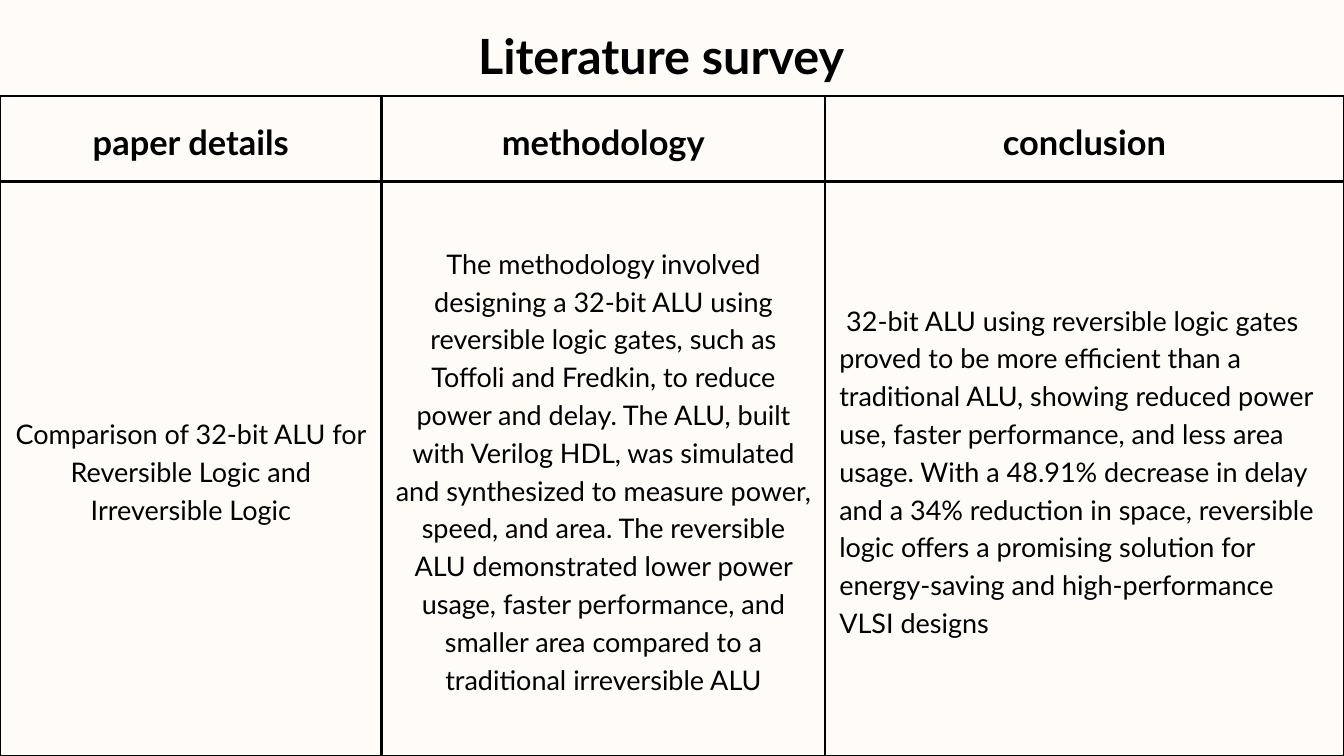
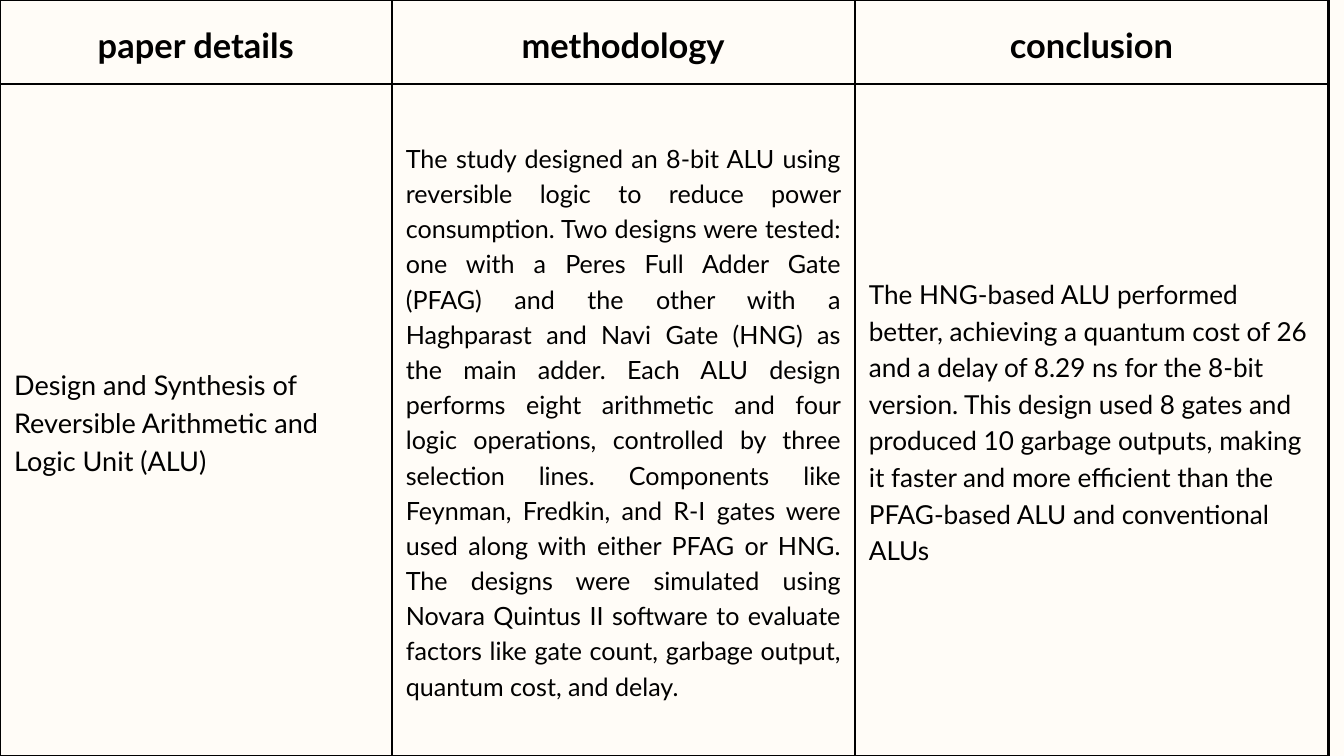
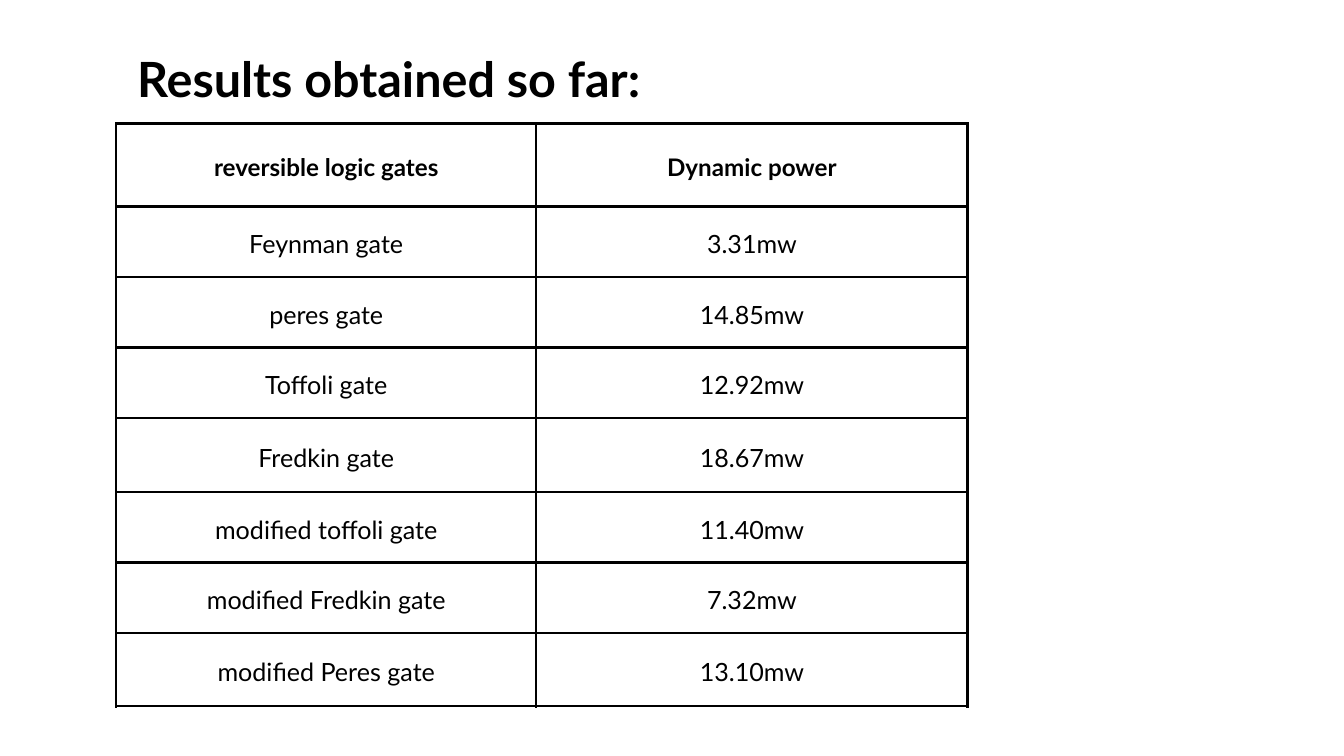
import pptx
import pptx.dml.color
import pptx.enum.text
import pptx.oxml.ns
import pptx.util
from lxml import etree

Inches = pptx.util.Inches
Pt = pptx.util.Pt
RGBColor = pptx.dml.color.RGBColor
ALIGN = pptx.enum.text.PP_ALIGN
ANCHOR = pptx.enum.text.MSO_ANCHOR
AUTO_SIZE = pptx.enum.text.MSO_AUTO_SIZE

# Shared style
INK = RGBColor(0x00, 0x00, 0x00)
CREAM = RGBColor(0xFF, 0xFC, 0xF7)
WHITE = RGBColor(0xFF, 0xFF, 0xFF)
FONT = "Lato"
LEADING = 1.4
BORDER_POINTS = 3
CELL_MARGIN = Inches(0.21)
TITLE_SIZE = 52

# Content: a cell is (text, size, alignment)
SURVEY_HEADINGS = ["paper details", "methodology", "conclusion"]
COMPARISON_PAPER = [
    ("Comparison of 32-bit ALU for Reversible Logic and Irreversible Logic",
     28.9, ALIGN.CENTER),
    ("The methodology involved designing a 32-bit ALU using reversible logic "
     "gates, such as Toffoli and Fredkin, to reduce power and delay. The ALU, "
     "built with Verilog HDL, was simulated and synthesized to measure power, "
     "speed, and area. The reversible ALU demonstrated lower power usage, faster "
     "performance, and smaller area compared to a traditional irreversible ALU",
     28.9, ALIGN.CENTER),
    (" 32-bit ALU using reversible logic gates proved to be more efficient than "
     "a traditional ALU, showing reduced power use, faster performance, and less "
     "area usage. With a 48.91% decrease in delay and a 34% reduction in space, "
     "reversible logic offers a promising solution for energy-saving and "
     "high-performance VLSI designs",
     28.9, ALIGN.LEFT),
]
SYNTHESIS_PAPER = [
    ("Design and Synthesis of Reversible Arithmetic and Logic Unit (ALU)",
     29, ALIGN.LEFT),
    ("The study designed an 8-bit ALU using reversible logic to reduce power "
     "consumption. Two designs were tested: one with a Peres Full Adder Gate "
     "(PFAG) and the other with a Haghparast and Navi Gate (HNG) as the main "
     "adder. Each ALU design performs eight arithmetic and four logic operations, "
     "controlled by three selection lines. Components like Feynman, Fredkin, and "
     "R-I gates were used along with either PFAG or HNG. The designs were "
     "simulated using Novara Quintus II software to evaluate factors like gate "
     "count, garbage output, quantum cost, and delay.",
     26.9, ALIGN.JUSTIFY),
    ("The HNG-based ALU performed better, achieving a quantum cost of 26 and a "
     "delay of 8.29 ns for the 8-bit version. This design used 8 gates and "
     "produced 10 garbage outputs, making it faster and more efficient than the "
     "PFAG-based ALU and conventional ALUs",
     28, ALIGN.LEFT),
]
POWER_HEADINGS = ["reversible logic gates", "Dynamic power"]
GATE_POWERS = [
    ("Feynman gate", "3.31mw"),
    ("peres gate", "14.85mw"),
    ("Toffoli gate", "12.92mw"),
    ("Fredkin gate", "18.67mw"),
    ("modified toffoli gate", "11.40mw"),
    ("modified Fredkin gate", "7.32mw"),
    ("modified Peres gate", "13.10mw"),
]


def centred_row(texts, size):
    return [(text, size, ALIGN.CENTER) for text in texts]


SLIDES = [
    {
        "background": CREAM,
        "title": ("Literature survey", (6.34, 0.24, 7, 0.97)),
        "corner": (0, 1.43),
        "columns": [5.68, 6.6, 7.72],
        "rows": [1.27, 8.56],
        "cells": [centred_row(SURVEY_HEADINGS, 36.9), COMPARISON_PAPER],
    },
    {
        "background": CREAM,
        "title": None,
        "corner": (0, 0),
        "columns": [5.83, 6.89, 7.05],
        "rows": [1.25, 10],
        "cells": [centred_row(SURVEY_HEADINGS, 36.9), SYNTHESIS_PAPER],
    },
    {
        "background": WHITE,
        "title": ("Results obtained so far:", (0.9, 0.59, 9.77, 0.96)),
        "corner": (1.73, 1.84),
        "columns": [6.25, 6.42],
        "rows": [1.23, 1.05, 1.05, 1.05, 1.1, 1.05, 1.05, 1.09],
        "cells": [centred_row(POWER_HEADINGS, 25.9)]
                 + [centred_row(gate, 26.9) for gate in GATE_POWERS],
    },
]


def apply_format(target, values):
    for name, value in values.items():
        setattr(target, name, value)


def write_text(text_frame, text, size, alignment, bold):
    paragraph = text_frame.paragraphs[0]
    run = paragraph.add_run()
    run.text = text
    apply_format(paragraph, {"alignment": alignment,
                             "line_spacing": Pt(round(size * LEADING, 1))})
    apply_format(run.font, {"name": FONT, "size": Pt(size), "bold": bold})
    run.font.color.rgb = INK


def add_title(slide, text, box):
    text_frame = slide.shapes.add_textbox(*map(Inches, box)).text_frame
    apply_format(text_frame, {
        "word_wrap": True, "auto_size": AUTO_SIZE.SHAPE_TO_FIT_TEXT,
        "margin_left": 0, "margin_right": 0, "margin_top": 0, "margin_bottom": 0,
    })
    write_text(text_frame, text, TITLE_SIZE, ALIGN.CENTER, True)


def add_borders(cell):
    qn = pptx.oxml.ns.qn
    properties = cell._tc.get_or_add_tcPr()
    for side in ("a:lnL", "a:lnR", "a:lnT", "a:lnB"):
        line = etree.SubElement(properties, qn(side), w=str(Pt(BORDER_POINTS)))
        fill = etree.SubElement(line, qn("a:solidFill"))
        etree.SubElement(fill, qn("a:srgbClr"), val=str(INK))


def add_grid(slide, corner, columns, rows, cells):
    box = (*corner, sum(columns), sum(rows))
    table = slide.shapes.add_table(len(rows), len(columns),
                                   *map(Inches, box)).table
    apply_format(table, {"first_row": False, "horz_banding": False})
    for column, width in zip(table.columns, columns):
        column.width = Inches(width)
    for row_index, (row, height) in enumerate(zip(table.rows, rows)):
        row.height = Inches(height)
        for cell, content in zip(row.cells, cells[row_index]):
            apply_format(cell, {
                "vertical_anchor": ANCHOR.MIDDLE,
                "margin_left": CELL_MARGIN, "margin_right": CELL_MARGIN,
                "margin_top": CELL_MARGIN, "margin_bottom": CELL_MARGIN,
            })
            add_borders(cell)
            cell.fill.background()
            write_text(cell.text_frame, *content, bold=row_index == 0)


def main():
    presentation = pptx.Presentation()
    apply_format(presentation, {"slide_width": Inches(20),
                                "slide_height": Inches(11.25)})
    for content in SLIDES:
        slide = presentation.slides.add_slide(presentation.slide_layouts[6])
        slide.background.fill.solid()
        slide.background.fill.fore_color.rgb = content["background"]
        add_grid(slide, content["corner"], content["columns"],
                 content["rows"], content["cells"])
        if content["title"]:
            add_title(slide, *content["title"])
    presentation.save("out.pptx")


if __name__ == "__main__":
    main()
